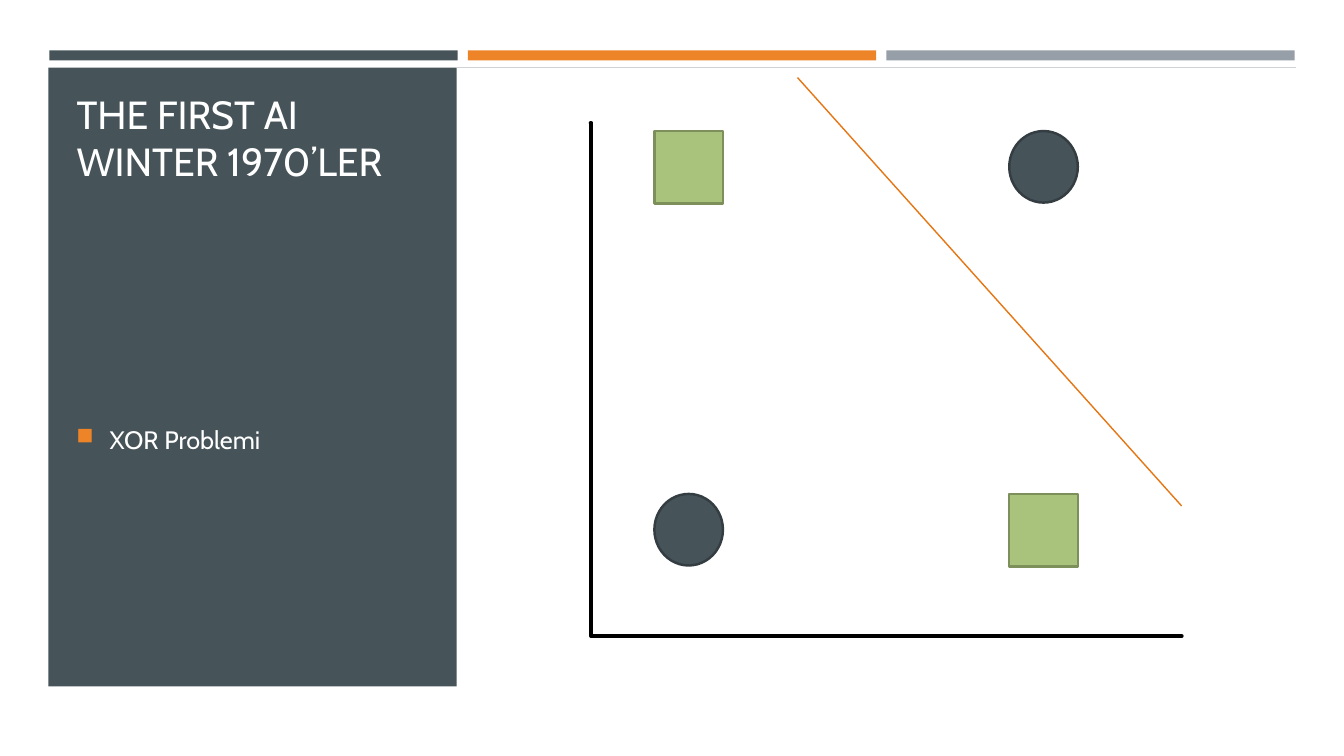
from typing import NamedTuple

from pptx import Presentation
from pptx.dml.color import RGBColor
from pptx.enum.shapes import MSO_CONNECTOR as Link, MSO_SHAPE as Geom
from pptx.enum.text import MSO_ANCHOR, MSO_AUTO_SIZE, PP_ALIGN
from pptx.oxml.ns import qn
from pptx.oxml.xmlchemy import OxmlElement
from pptx.shapes.autoshape import Shape
from pptx.shapes.connector import Connector
from pptx.text.text import TextFrame
from pptx.util import Inches, Pt

FONT = "Cabin"
SLATE, ORANGE, GREY, WHITE = "465359", "ED8428", "969FA7", "FFFFFF"


class Box(NamedTuple):
    left: float
    top: float
    width: float
    height: float
    fill: str
    geom: Geom = Geom.RECTANGLE
    outline: str | None = None


class Stroke(NamedTuple):
    x1: float
    y1: float
    x2: float
    y2: float
    color: str
    weight: float
    kind: Link = Link.STRAIGHT


PANELS = [
    Box(0.49 + 4.15 * i, 0.5, 4.05, 0.1, color)
    for i, color in enumerate((SLATE, ORANGE, GREY))
] + [Box(0.48, 0.67, 4.05, 6.14, SLATE)]

HEADER_RULE = Stroke(4.53, 0.67, 12.85, 0.67, "D0D3D5", 0.5)
AXES = Stroke(5.86, 1.22, 11.72, 6.31, "000000", 3, Link.ELBOW)
SEPARATOR = Stroke(7.91, 0.77, 11.72, 5.02, "E67613", 1)

# XOR: points on the same diagonal belong to the same class
MARKERS = [
    Box(x, y, 0.68, 0.72, "A9C37C", Geom.RECTANGLE, "7D905C")
    if row != col
    else Box(x, y, 0.68, 0.71, SLATE, Geom.OVAL, "343D42")
    for row, y in enumerate((4.9, 1.3))
    for col, x in enumerate((6.49, 10.01))
]


def rgb(color: str) -> RGBColor:
    return RGBColor.from_string(color)


def add_box(s, box: Box) -> Shape:
    sp = s.shapes.add_shape(box.geom, *(Inches(v) for v in box[:4]))
    sp.shadow.inherit = False
    sp.fill.solid()
    sp.fill.fore_color.rgb = rgb(box.fill)
    if box.outline:
        sp.line.color.rgb = rgb(box.outline)
        sp.line.width = Pt(1.75)
    else:
        sp.line.fill.background()
    return sp


def add_stroke(s, stroke: Stroke) -> Connector:
    line = s.shapes.add_connector(stroke.kind, *(Inches(v) for v in stroke[:4]))
    line.line.color.rgb = rgb(stroke.color)
    line.line.width = Pt(stroke.weight)
    line.element.spPr.append(OxmlElement("a:effectLst"))
    return line


def add_axes(s) -> None:
    """Draw both axes as one elbow whose bend sits at the left edge."""
    axes = add_stroke(s, AXES)
    sp_pr = axes.element.spPr
    sp_pr.find(qn("a:ln")).set("cap", "rnd")
    guide = OxmlElement("a:gd")
    guide.set("name", "adj1")
    guide.set("fmla", "val 100")
    sp_pr.find(qn("a:prstGeom")).get_or_add_avLst().append(guide)


def set_text(tf: TextFrame, text: str, size: float, anchor: MSO_ANCHOR) -> None:
    tf.word_wrap = True
    tf.auto_size = MSO_AUTO_SIZE.NONE
    tf.vertical_anchor = anchor
    tf.text = text
    p = tf.paragraphs[0]
    p.alignment = PP_ALIGN.LEFT
    font = p.runs[0].font
    font.name, font.size = FONT, Pt(size)
    font.color.rgb = rgb(WHITE)


def add_bullet(p) -> None:
    p_pr = p._p.get_or_add_pPr()
    p_pr.set("marL", str(Inches(0.33)))
    p_pr.set("indent", str(-Inches(0.33)))
    color = OxmlElement("a:buClr")
    value = OxmlElement("a:srgbClr")
    value.set("val", ORANGE)
    color.append(value)
    size = OxmlElement("a:buSzPct")
    size.set("val", "92000")
    char = OxmlElement("a:buChar")
    char.set("char", "■")
    p_pr.extend([color, size, char])


def add_title(s) -> None:
    title = s.shapes.title
    s.shapes.element.append(title.element)  # in front of the panel
    title.left, title.top = Inches(0.66), Inches(0.77)
    title.width, title.height = Inches(3.73), Inches(1.11)
    set_text(title.text_frame, "THE FIRST AI WINTER 1970’LER", 28, MSO_ANCHOR.BOTTOM)


def add_body(s) -> None:
    body = s.shapes.add_textbox(Inches(0.66), Inches(2.15), Inches(3.73), Inches(4.41))
    set_text(body.text_frame, "XOR Problemi", 18, MSO_ANCHOR.MIDDLE)
    p = body.text_frame.paragraphs[0]
    p.space_before, p.space_after = Pt(3.6), Pt(6)
    add_bullet(p)


def main() -> None:
    prs = Presentation()
    prs.slide_width, prs.slide_height = Inches(13.33), Inches(7.5)
    s = prs.slides.add_slide(prs.slide_layouts[5])
    add_stroke(s, HEADER_RULE)
    for panel in PANELS:
        add_box(s, panel)
    add_title(s)
    add_body(s)
    add_axes(s)
    for marker in MARKERS:
        add_box(s, marker)
    add_stroke(s, SEPARATOR)
    prs.save("out.pptx")


if __name__ == "__main__":
    main()
